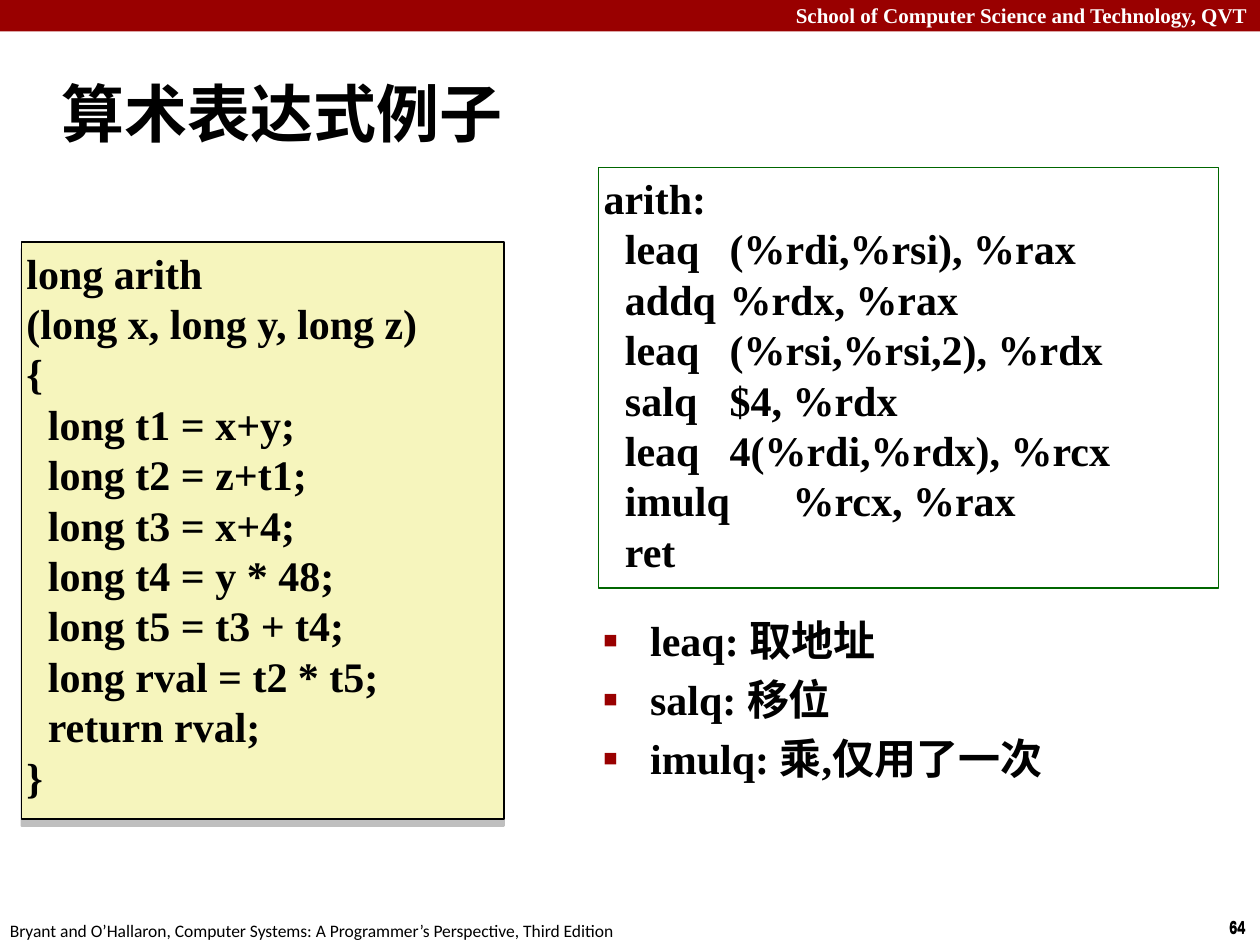
from lxml.etree import SubElement
from pptx import Presentation
from pptx.dml.color import RGBColor
from pptx.enum.shapes import MSO_SHAPE as Shape
from pptx.enum.text import MSO_ANCHOR as Anchor, MSO_AUTO_SIZE as AutoSize, PP_ALIGN as Align
from pptx.oxml.ns import qn
from pptx.util import Inches, Pt

SERIF = "Times New Roman"
TITLE = "算术表达式例子"
NOTES = ["leaq: 取地址", "salq: 移位", "imulq: 乘,仅用了一次"]
ASSEMBLY = [
    (0, "arith:"),
    (1, "leaq\t(%rdi,%rsi), %rax"),
    (1, "addq\t%rdx, %rax"),
    (1, "leaq\t(%rsi,%rsi,2), %rdx"),
    (1, "salq\t$4, %rdx"),
    (1, "leaq\t4(%rdi,%rdx), %rcx"),
    (1, "imulq\t%rcx, %rax"),
    (1, "ret"),
]
SOURCE = [
    (0, "long arith"),
    (0, "(long x, long y, long z)"),
    (0, "{"),
    (1, "long t1 = x+y;"),
    (1, "long t2 = z+t1;"),
    (1, "long t3 = x+4;"),
    (1, "long t4 = y * 48;"),
    (1, "long t5 = t3 + t4;"),
    (1, "long rval = t2 * t5;"),
    (1, "return rval;"),
    (0, "}"),
]
LISTINGS = [
    (ASSEMBLY, (4.75, 1.33, 4.92, 3.34), None, "006600"),
    (SOURCE, (0.17, 1.92, 3.83, 4.58), "F6F5BD", "000000"),
]
CITATION = "Bryant and O’Hallaron, Computer Systems: A Programmer’s Perspective, Third Edition"
LABELS = [
    ("School of Computer Science and Technology, QVT", (0, -0.03, 10, 0.3), True, Align.RIGHT, (12, SERIF, "FFFFFF", True)),
    ("64", (9.66, 7.23, 0.34, 0.27), False, Align.LEFT, (10, "Arial Narrow", "000000", True)),
    ("64", (9.66, 7.22, 0.34, 0.27), False, Align.LEFT, (10, "Arial Narrow", "000000", True)),
    (CITATION, (-0.02, 7.25, 5.08, 0.27), False, Align.LEFT, (10, "Calibri", "000000", False)),
]
CODE_INDENT = 0.17
OPERAND_TAB = 1.1


def color(value):
    return RGBColor.from_string(value)


def style(para, size, font, ink="000000", bold=True):
    for span in para.runs:
        span.font.size = Pt(size)
        span.font.name = font
        span.font.bold = bold
        span.font.color.rgb = color(ink)


def place(shape, area):
    shape.left, shape.top, shape.width, shape.height = map(Inches, area)


def indent(para, margin, first):
    props = para._p.get_or_add_pPr()
    props.set("marL", str(Inches(margin)))
    props.set("indent", str(Inches(first)))
    return props


def add_child(parent, tag, **attributes):
    return SubElement(parent, qn(tag), {key: str(value) for key, value in attributes.items()})


def add_rectangle(page, area, fill, line=None):
    box = page.shapes.add_shape(Shape.RECTANGLE, *map(Inches, area))
    box.shadow.inherit = False
    if fill:
        box.fill.solid()
        box.fill.fore_color.rgb = color(fill)
    else:
        box.fill.background()
    if line:
        box.line.color.rgb = color(line)
        box.line.width = Pt(1)
    else:
        box.line.fill.background()
    return box


def add_shadow(box):
    effects = box._element.spPr.find(qn("a:effectLst"))
    shadow = add_child(effects, "a:outerShdw", blurRad=0, dist=Pt(4), dir=90 * 60000, algn="ctr", rotWithShape=0)
    tint = add_child(shadow, "a:srgbClr", val="808080")
    add_child(tint, "a:alpha", val=50000)


def add_listing(page, lines, area, fill, line):
    box = add_rectangle(page, area, fill, line)
    if fill:
        add_shadow(box)
    frame = box.text_frame
    frame.word_wrap = True
    frame.vertical_anchor = Anchor.TOP
    frame.margin_left = frame.margin_top = frame.margin_right = frame.margin_bottom = Inches(0.04)
    frame.text = "\n".join(text for _, text in lines)
    for para, (depth, text) in zip(frame.paragraphs, lines):
        para.alignment = Align.LEFT
        props = indent(para, 0, depth * CODE_INDENT)
        if "\t" in text:
            add_child(add_child(props, "a:tabLst"), "a:tab", pos=Inches(OPERAND_TAB), algn="l")
        style(para, 24, SERIF)


def add_label(page, text, area, wrap, align, look):
    frame = page.shapes.add_textbox(*map(Inches, area)).text_frame
    frame.word_wrap = wrap
    frame.auto_size = AutoSize.SHAPE_TO_FIT_TEXT
    frame.text = text
    frame.paragraphs[0].alignment = align
    style(frame.paragraphs[0], *look)


def fill_title(title):
    place(title, (0.39, 0.48, 9.61, 0.83))
    frame = title.text_frame
    frame.text = TITLE
    frame.auto_size = AutoSize.NONE
    frame.vertical_anchor = Anchor.MIDDLE
    para = frame.paragraphs[0]
    para.alignment = Align.LEFT
    indent(para, 0.13, -0.13)
    style(para, 36, "Calibri")


def fill_notes(body):
    place(body, (4.25, 4.83, 5.58, 2.09))
    frame = body.text_frame
    frame.text = "\n".join(NOTES)
    frame.auto_size = AutoSize.NONE
    for para in frame.paragraphs:
        para.level = 1
        para.space_before = Pt(4.8)
        props = indent(para, 0.81, -0.38)
        add_child(add_child(props, "a:buClr"), "a:srgbClr", val="990000")
        add_child(props, "a:buSzPct", val=110000)
        add_child(props, "a:buFont", typeface=SERIF)
        add_child(props, "a:buChar", char="▪")
        style(para, 24, SERIF)


def main():
    """Build the arithmetic expression slide."""
    deck = Presentation()
    deck.slide_width, deck.slide_height = Inches(10), Inches(7.5)
    page = deck.slides.add_slide(deck.slide_layouts[1])
    add_rectangle(page, (0, 0, 10, 0.25), "990000")
    for label in LABELS:
        add_label(page, *label)
    fill_title(page.shapes.title)
    fill_notes(page.placeholders[1])
    for listing in LISTINGS:
        add_listing(page, *listing)
    deck.save("out.pptx")


if __name__ == "__main__":
    main()
